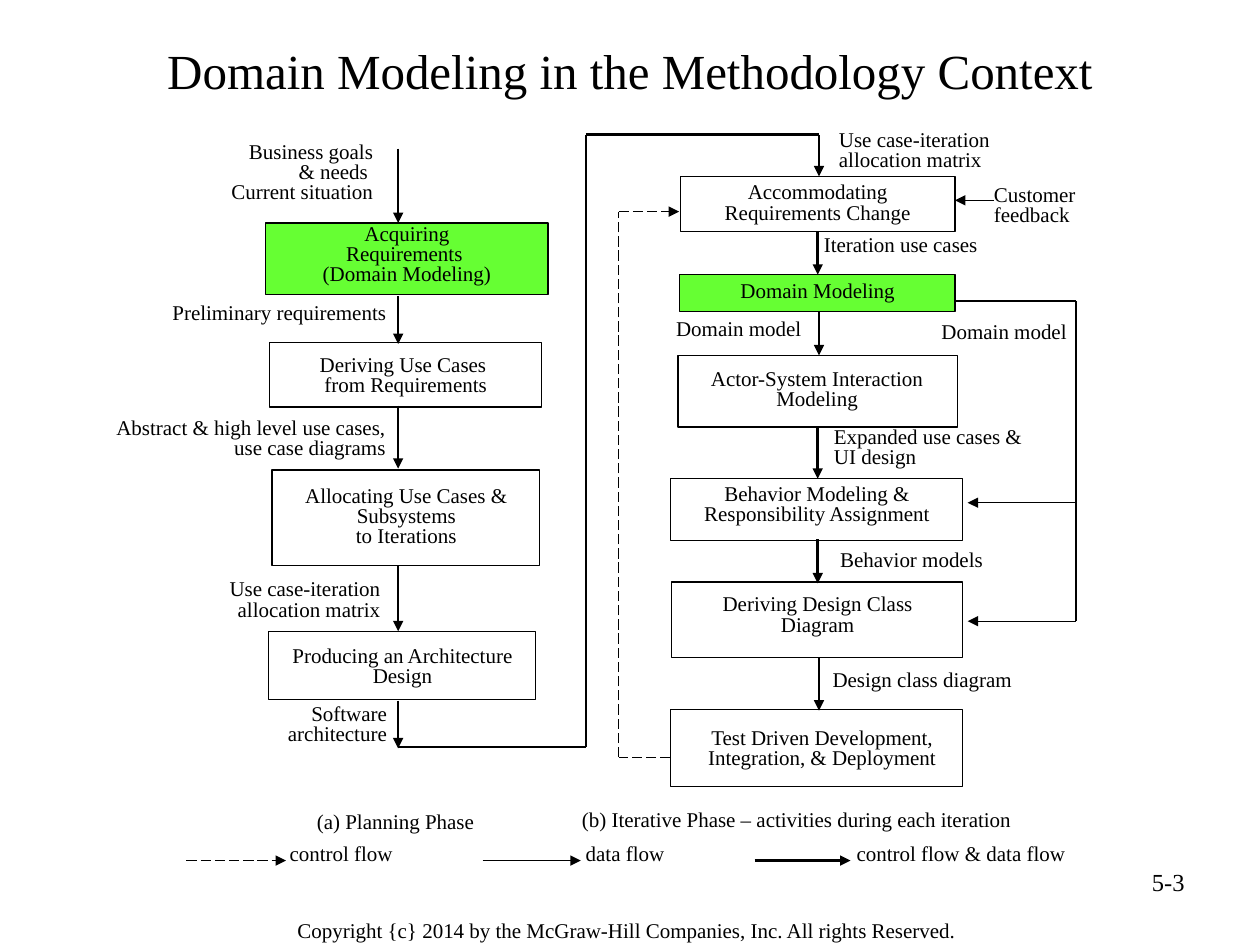
from dataclasses import dataclass
from itertools import pairwise

from lxml import etree
from pptx import Presentation
from pptx.dml.color import RGBColor
from pptx.enum.dml import MSO_LINE
from pptx.enum.shapes import MSO_CONNECTOR, MSO_SHAPE
from pptx.enum.text import MSO_ANCHOR, PP_ALIGN
from pptx.oxml.ns import qn
from pptx.util import Pt

SCALE = 9144
LEFT, MID, RIGHT = PP_ALIGN.LEFT, PP_ALIGN.CENTER, PP_ALIGN.RIGHT
TOP, CORE = MSO_ANCHOR.TOP, MSO_ANCHOR.MIDDLE
DASH = MSO_LINE.LONG_DASH
RECT = MSO_SHAPE.RECTANGLE
STRAIGHT = MSO_CONNECTOR.STRAIGHT


@dataclass(frozen=True)
class Theme:
    font: str = "Times New Roman"
    ink: str = "000000"
    plain: str = "FFFFFF"
    green: str = "66FF33"
    title: int = 28
    page: int = 14
    body: int = 12
    thin: float = 0.75
    bold: float = 1.5


THEME = Theme()


def px(*nums):
    return [num * SCALE for num in nums]


def hue(code):
    return RGBColor.from_string(code)


def write(frame, text, size=THEME.body, align=LEFT, anchor=TOP, space=0.8):
    frame.word_wrap = True
    frame.vertical_anchor = anchor
    for spot, line in enumerate(text.split("\n")):
        para = frame.add_paragraph() if spot else frame.paragraphs[0]
        para.alignment = align
        para.line_spacing = space
        run = para.add_run()
        run.text = line
        run.font.name = THEME.font
        run.font.size = Pt(size)
        run.font.color.rgb = hue(THEME.ink)


class Board:
    def __init__(self, slide, theme):
        self.slide = slide
        self.theme = theme

    def label(self, text, area, **form):
        box = self.slide.shapes.add_textbox(*px(*area))
        write(box.text_frame, text, **form)

    def step(self, text, area, inner, fill):
        box = self.slide.shapes.add_shape(RECT, *px(*area))
        box.shadow.inherit = False
        box.fill.solid()
        box.fill.fore_color.rgb = hue(fill)
        box.line.color.rgb = hue(self.theme.ink)
        box.line.width = Pt(self.theme.thin)
        self.label(text, inner, align=MID)

    def line(self, start, end, width, dash=None, head=True):
        link = self.slide.shapes.add_connector(STRAIGHT, *px(*start, *end))
        link.line.width = Pt(width)
        link.line.color.rgb = hue(self.theme.ink)
        if dash:
            link.line.dash_style = dash
        if head:
            stroke = link.line._get_or_add_ln()
            etree.SubElement(stroke, qn("a:tailEnd"), type="triangle")
        etree.SubElement(link._element.spPr, qn("a:effectLst"))

    def route(self, *spots, **form):
        pairs = list(pairwise(spots))
        for pair in pairs:
            self.line(*pair, head=pair == pairs[-1], **form)


def main():
    deck = Presentation()
    deck.slide_width, deck.slide_height = px(1000, 750)
    slide = deck.slides.add_slide(deck.slide_layouts[6])
    board = Board(slide, THEME)
    thin, bold = THEME.thin, THEME.bold
    plain, green = THEME.plain, THEME.green

    board.label("Domain Modeling in the Methodology Context", (50, 19, 900, 73),
                size=THEME.title, align=MID, anchor=CORE, space=1.0)

    steps = [
        ("Acquiring\nRequirements \n(Domain Modeling)",
         (211, 177, 224, 57), (217, 174, 212, 52), green),
        ("Deriving Use Cases \nfrom Requirements",
         (214, 272, 216, 51), (226, 278, 192, 49), plain),
        ("Allocating Use Cases & Subsystems\nto Iterations",
         (216, 373, 212, 76), (220, 382, 205, 71), plain),
        ("Producing an Architecture Design",
         (213, 501, 212, 54), (217, 509, 205, 53), plain),
        ("Accommodating\nRequirements Change",
         (540, 140, 218, 44), (540, 141, 218, 52), plain),
        ("Domain Modeling",
         (539, 218, 219, 29), (559, 219, 180, 36), green),
        ("Actor-System Interaction Modeling",
         (538, 282, 222, 57), (526, 289, 245, 64), plain),
        ("Behavior Modeling &\nResponsibility Assignment",
         (532, 380, 232, 49), (528, 380, 241, 48), plain),
        ("Deriving Design Class\nDiagram",
         (533, 462, 231, 60), (536, 468, 226, 47), plain),
        ("Test Driven Development, Integration, & Deployment",
         (532, 563, 232, 61), (528, 574, 249, 61), plain),
    ]
    for step in steps:
        board.step(*step)

    labels = [
        ("Business goals\n& needs \nCurrent situation", (138, 109, 168, 76), RIGHT),
        ("Preliminary requirements", (127, 237, 194, 32), LEFT),
        ("Abstract & high level use cases, use case diagrams",
         (72, 328, 244, 53), RIGHT),
        ("Use case-iteration \nallocation matrix ", (115, 456, 201, 55), RIGHT),
        ("Software architecture", (182, 555, 135, 53), RIGHT),
        ("Use case-iteration\nallocation matrix", (656, 99, 201, 55), LEFT),
        ("Customer\nfeedback", (779, 143, 118, 61), LEFT),
        ("Iteration use cases", (644, 183, 202, 35), LEFT),
        ("Domain model", (496, 249, 150, 28), RIGHT),
        ("Domain model", (722, 252, 150, 28), MID),
        ("Expanded use cases & UI design", (652, 335, 189, 54), LEFT),
        ("Behavior models", (657, 433, 140, 31), LEFT),
        ("Design class diagram", (651, 528, 257, 35), LEFT),
        ("(a) Planning Phase", (201, 641, 226, 35), MID),
        ("(b) Iterative Phase – activities during each iteration",
         (452, 639, 465, 35), LEFT),
    ]
    for text, area, align in labels:
        board.label(text, area, align=align)

    drops = [
        (316, 118, 177), (316, 235, 273), (316, 322, 372),
        (316, 449, 501), (316, 556, 594),
        (649, 184, 218), (650, 248, 282), (649, 339, 380),
        (649, 428, 463), (650, 522, 564),
    ]
    for x, top, base in drops:
        board.line((x, top), (x, base), bold)

    board.route((316, 593), (465, 593), (465, 107), (650, 107), (650, 140),
                width=bold)
    board.route((532, 601), (491, 601), (491, 168), (539, 168),
                width=thin, dash=DASH)
    board.route((758, 239), (854, 239), (854, 493), (768, 493), width=thin)
    board.line((854, 399), (768, 399), thin)
    board.line((789, 159), (758, 159), thin)

    legend = [
        ("control flow", 148, 227, 220, 159, thin, DASH),
        ("data flow", 383, 461, 455, 145, thin, None),
        ("control flow & data flow", 599, 675, 670, 255, bold, None),
    ]
    for text, start, end, left, wide, width, dash in legend:
        board.line((start, 683), (end, 683), width, dash)
        board.label(text, (left, 666, wide, 35))

    board.label("5-3", (717, 683, 233, 52),
                size=THEME.page, align=RIGHT, space=1.0)
    board.label("Copyright {c} 2014 by the McGraw-Hill Companies, Inc. "
                "All rights Reserved.", (188, 723, 619, 31),
                align=MID, space=1.0)
    deck.save("out.pptx")


if __name__ == "__main__":
    main()
